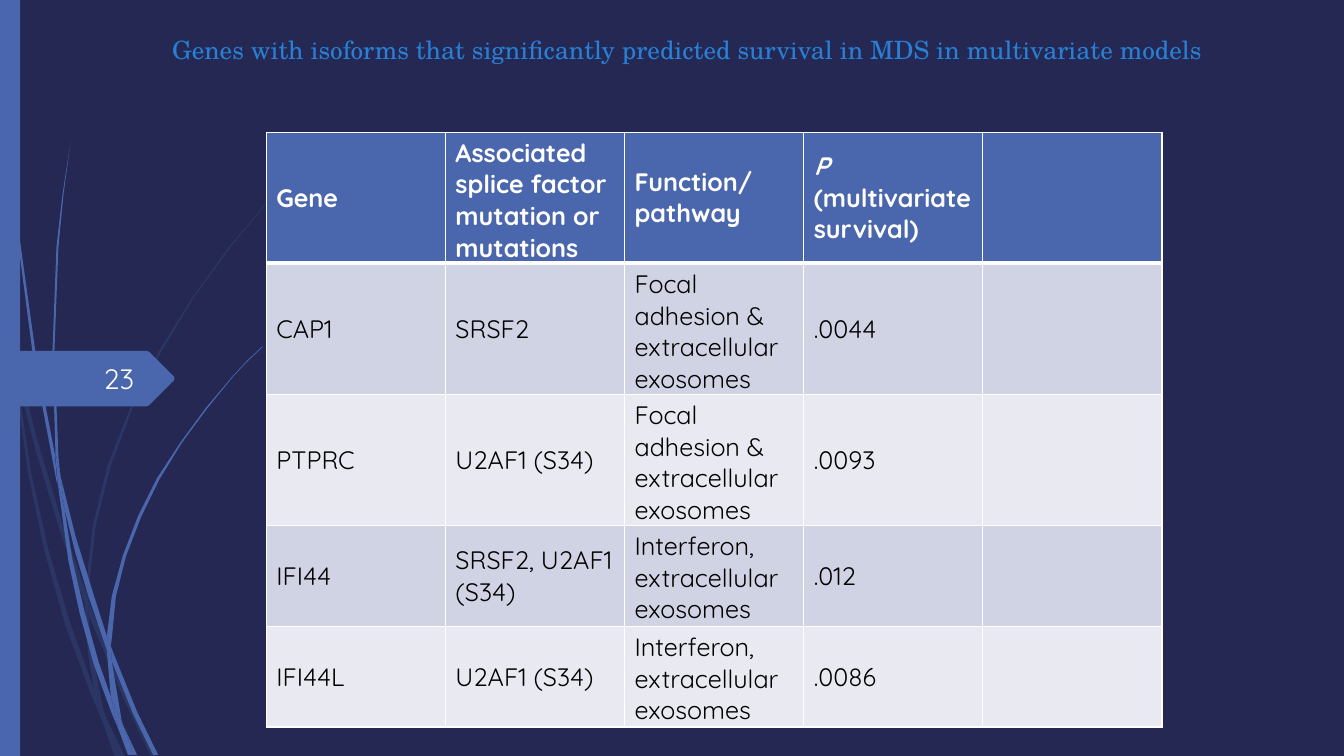
import lxml.etree
import pptx
import pptx.dml.color
import pptx.enum.shapes
import pptx.enum.text
import pptx.oxml.ns
import pptx.util

Cm = pptx.util.Cm
RGBColor = pptx.dml.color.RGBColor
ALIGN = pptx.enum.text.PP_ALIGN
ANCHOR = pptx.enum.text.MSO_ANCHOR
qn = pptx.oxml.ns.qn

NAVY = RGBColor(0x24, 0x28, 0x52)
BLUE = RGBColor(0x4A, 0x66, 0xAC)
DIM_BLUE = RGBColor(0x38, 0x4C, 0x81)
TITLE_BLUE = RGBColor(0x29, 0x7F, 0xD5)
DARK_BAND = RGBColor(0xD0, 0xD3, 0xE3)
LIGHT_BAND = RGBColor(0xE9, 0xEA, 0xF1)
WHITE = RGBColor(0xFF, 0xFF, 0xFF)
NUMBER_WHITE = RGBColor(0xFE, 0xFF, 0xFF)
BLACK = RGBColor(0, 0, 0)
BODY_FONT = "Quicksand"
TITLE_FONT = "TeX Gyre Schola"

# Outlines are x,y pairs on a grid of 0.0254 cm
GRID = Cm(0.0254)
DIM_WISPS = [
    "11,350 9,322 0,282 0,299 10,344",
    "58,522 84,599 85,586 62,520 36,433 14,345 17,376 36,449",
    "92,607 88,596 88,610 123,694 150,751 155,751 127,692",
    "119,751 124,751 105,711",
    "93,683 70,619 48,545 31,469 17,376 11,350 28,470 44,546 65,621 92,693 101,714 99,707",
    "84,599 87,646 93,683 96,692 105,711 103,706 91,646 88,610 88,608",
    "88,584 95,522 110,462 132,404 160,349 192,296 229,245 268,198 290,175 312,154 312,153 "
    "289,175 268,197 228,244 191,295 158,348 130,403 107,461 92,522 85,584 85,586 88,596",
    "101,714 114,751 119,751",
    "88,608 88,610 88,596 85,586 84,599",
    "96,692 93,683 99,707 101,714 119,751 105,711",
]
BRIGHT_WISPS = [
    "7,110 17,233 33,355 56,477 57,481 55,457 55,453 36,355 19,232 8,109 5,48 4,0 3,0 4,48",
    "88,592 106,645 106,633 106,631 93,590 75,532 60,472 64,505 75,549",
    "113,649 110,641 111,656 132,708 152,749 157,749 136,706",
    "110,691 98,657 84,607 72,556 64,505 57,477 68,557 79,608 93,659 111,708 117,722 116,717",
    "60,472 58,453 54,349 58,245 63,193 70,141 62,193 56,245 52,349 55,449",
    "133,749 136,749 122,719",
    "57,477 64,505 60,472 55,449 55,453",
    "111,633 115,592 125,552 140,513 158,476 180,440 205,406 231,374 245,359 261,344 260,344 "
    "245,358 231,373 204,405 179,439 156,474 137,512 122,551 111,591 106,631 110,641",
    "117,722 127,749 131,749",
    "106,645 110,691 116,706 122,719 121,716 111,656 109,651",
    "106,645 109,651 111,656 110,641 106,631 106,633",
    "116,706 110,691 116,717 117,722 130,749 133,749 122,719",
]
NUMBER_TAG = "0,0 146,0 148,1 173,26 173,29 148,54 146,55 0,55"

HEADER = ["Gene", "Associated splice factor mutation or mutations", "Function/pathway",
          "P| (multivariate survival)", ""]
GENES = [
    ["CAP1", "SRSF2", "Focal adhesion & extracellular exosomes", ".0044", ""],
    ["PTPRC", "U2AF1 (S34)", "Focal adhesion & extracellular exosomes", ".0093", ""],
    ["IFI44", "SRSF2, U2AF1 (S34)", "Interferon, extracellular exosomes", ".012", ""],
    ["IFI44L", "U2AF1 (S34)", "Interferon, extracellular exosomes", ".0086", ""],
]


def write_text(text_frame, text, size=18, font=BODY_FONT, color=BLACK, bold=False,
               align=ALIGN.LEFT):
    """Write one paragraph; anything before a bar is set in italics."""
    paragraph = text_frame.paragraphs[0]
    paragraph.alignment = align
    italic_part, _, plain_part = text.rpartition("|")
    for part, italic in ((italic_part, True), (plain_part, False)):
        if part:
            run = paragraph.add_run()
            run.text = part
            run.font.size = pptx.util.Pt(size)
            run.font.name = font
            run.font.color.rgb = color
            run.font.bold = bold
            run.font.italic = italic


def add_text_box(slide, left, top, width, height, text, anchor=ANCHOR.TOP, **text_format):
    text_frame = slide.shapes.add_textbox(left, top, width, height).text_frame
    text_frame.word_wrap = True
    text_frame.vertical_anchor = anchor
    write_text(text_frame, text, **text_format)


def paint(shape, color, opacity=100):
    shape.shadow.inherit = False
    shape.fill.solid()
    shape.fill.fore_color.rgb = color
    shape.line.fill.background()
    if opacity < 100:
        color_element = shape._element.spPr.find(qn("a:solidFill"))[0]
        lxml.etree.SubElement(color_element, qn("a:alpha"), val=str(opacity * 1000))


def add_outline(slide, left, top, outline, color, opacity=100):
    points = [tuple(map(int, pair.split(","))) for pair in outline.split()]
    builder = slide.shapes.build_freeform(*points[0], scale=GRID)
    builder.add_line_segments(points[1:], close=True)
    paint(builder.convert_to_shape(left, top), color, opacity)


def add_side_decoration(slide, left, top, width, height):
    # Curved stalks, the dim ones behind
    for outline in DIM_WISPS:
        add_outline(slide, left, top, outline, DIM_BLUE, opacity=40)
    for outline in BRIGHT_WISPS:
        add_outline(slide, left, top, outline, BLUE)
    # Edge bar
    bar = slide.shapes.add_shape(pptx.enum.shapes.MSO_SHAPE.RECTANGLE, left, top, width, height)
    paint(bar, BLUE)


def add_number_tag(slide, left, top, width, height, number):
    add_outline(slide, left, top, NUMBER_TAG, BLUE)
    inset = Cm(1.47)
    add_text_box(slide, left + inset, top + Cm(0.18), width - inset - Cm(0.79),
                 height - Cm(0.38), number, anchor=ANCHOR.MIDDLE, size=20,
                 color=NUMBER_WHITE, align=ALIGN.RIGHT)


def set_borders(cell, color, **widths):
    properties = cell._tc.get_or_add_tcPr()
    for index, side in enumerate("LRTB"):
        line = lxml.etree.Element(qn("a:ln" + side), w=str(pptx.util.Pt(widths.get(side, 1))))
        fill = lxml.etree.SubElement(line, qn("a:solidFill"))
        lxml.etree.SubElement(fill, qn("a:srgbClr"), val=str(color))
        properties.insert(index, line)


def add_gene_table(slide, left, top, width, row_heights):
    rows = [HEADER] + GENES
    table = slide.shapes.add_table(len(rows), len(HEADER), left, top, width,
                                   sum(row_heights)).table
    for column in table.columns:
        column.width = width // len(HEADER)
    for row_index, texts in enumerate(rows):
        table.rows[row_index].height = row_heights[row_index]
        is_header = row_index == 0
        band = BLUE if is_header else (LIGHT_BAND, DARK_BAND)[row_index % 2]
        # The rule under the header is heavier
        borders = {0: {"B": 3}, 1: {"T": 3}}.get(row_index, {})
        for column_index, text in enumerate(texts):
            cell = table.cell(row_index, column_index)
            cell.vertical_anchor = ANCHOR.MIDDLE
            cell.fill.solid()
            cell.fill.fore_color.rgb = band
            set_borders(cell, WHITE, **borders)
            write_text(cell.text_frame, text, color=WHITE if is_header else BLACK,
                       bold=is_header)


def main():
    presentation = pptx.Presentation()
    presentation.slide_width = Cm(33.87)
    presentation.slide_height = Cm(19.05)
    slide = presentation.slides.add_slide(presentation.slide_layouts[6])
    slide.background.fill.solid()
    slide.background.fill.fore_color.rgb = NAVY

    add_side_decoration(slide, Cm(0), Cm(0), Cm(0.51), presentation.slide_height)
    add_number_tag(slide, Cm(0), Cm(8.84), Cm(4.42), Cm(1.4), "23")
    add_gene_table(slide, Cm(6.71), Cm(3.33), Cm(22.58),
                   [Cm(3)] * 3 + [Cm(2.31)] * 2)
    add_text_box(slide, Cm(4.09), Cm(0.74), Cm(27.81), Cm(1.8),
                 "Genes with isoforms that significantly predicted survival in MDS "
                 "in multivariate models", font=TITLE_FONT, color=TITLE_BLUE)
    presentation.save("out.pptx")


if __name__ == "__main__":
    main()
